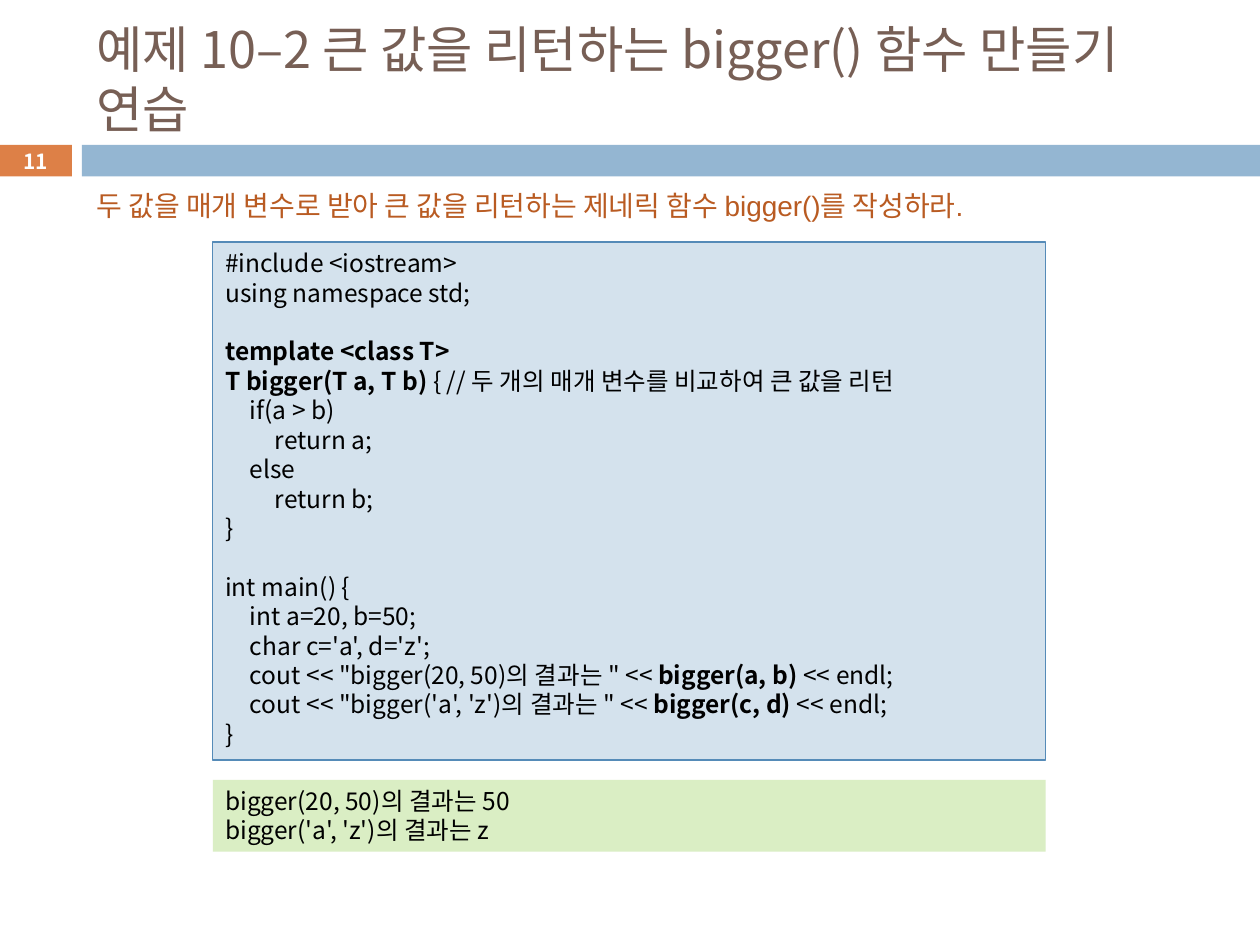
from dataclasses import dataclass

from lxml.etree import SubElement
from pptx import Presentation
from pptx.dml.color import RGBColor as Rgb
from pptx.enum.shapes import MSO_SHAPE as Shape
from pptx.enum.text import MSO_ANCHOR as Anchor, PP_ALIGN as Align
from pptx.oxml.ns import qn
from pptx.util import Cm, Pt


@dataclass(frozen=True)
class Theme:
    """Colours, fonts and type sizes of the slide."""
    title: str = "775F55"
    accent: str = "DD8047"
    bar: str = "94B6D2"
    task: str = "B95B22"
    code_fill: str = "D4E2ED"
    code_line: str = "558BB8"
    result_fill: str = "DAEEC4"
    ink: str = "000000"
    white: str = "FFFFFF"
    font: str = "Noto Sans CJK KR"
    task_font: str = "Arial"
    title_size: float = 28.8
    task_size: float = 16
    code_size: float = 14
    number_size: float = 11.9
    leading: float = 1.2
    indent: float = 0.5


THEME = Theme()

CODE = """\
#include <iostream>
using namespace std;

**template <class T>**
**T bigger(T a, T b) **{ // 두 개의 매개 변수를 비교하여 큰 값을 리턴
\tif(a > b)
\t\treturn a;
\telse
\t\treturn b;
}

int main() {
\tint a=20, b=50;
\tchar c='a', d='z';
\tcout << "bigger(20, 50)의 결과는 " << **bigger(a, b) **<< endl;
\tcout << "bigger('a', 'z')의 결과는 " << **bigger(c, d) **<< endl;
}"""

RESULT = """\
bigger(20, 50)의 결과는 50
bigger('a', 'z')의 결과는 z"""


def style_run(r, size, color, font=THEME.font, bold=False):
    """Format one run, with the Korean font for East Asian text."""
    r.font.size = Pt(size)
    r.font.bold = bold
    r.font.color.rgb = Rgb.from_string(color)
    r.font.name = font
    SubElement(r.font._element, qn("a:ea")).set("typeface", THEME.font)


def add_panel(slide, box, fill, line=None):
    """Add a flat rectangle, outlined when a line colour is given."""
    sp = slide.shapes.add_shape(Shape.RECTANGLE, *map(Cm, box))
    sp.shadow.inherit = False
    sp.fill.solid()
    sp.fill.fore_color.rgb = Rgb.from_string(fill)
    if line:
        sp.line.color.rgb = Rgb.from_string(line)
        sp.line.width = Pt(0.75)
    else:
        sp.line.fill.background()
    return sp


def add_label(slide, box, text, size, color, font=THEME.font, wrap=True):
    """Add a vertically centred text box with one paragraph."""
    tf = slide.shapes.add_textbox(*map(Cm, box)).text_frame
    tf.word_wrap = wrap
    tf.vertical_anchor = Anchor.MIDDLE
    p = tf.paragraphs[0]
    p.text = text
    p.line_spacing = Pt(round(size * THEME.leading, 1))
    style_run(p.runs[0], size, color, font)


def add_header_band(slide, box, number):
    """Draw the number tab and the bar beside it."""
    left, top, width, height = box
    tab_width, gap = 1.45, 0.2
    tab = add_panel(slide, (left, top, tab_width, height), THEME.accent)
    offset = tab_width + gap
    add_panel(slide, (left + offset, top, width - offset, height), THEME.bar)
    tf = tab.text_frame
    tf.margin_top = tf.margin_bottom = 0
    tf.vertical_anchor = Anchor.MIDDLE
    p = tf.paragraphs[0]
    p.text = number
    p.alignment = Align.CENTER
    style_run(p.runs[0], THEME.number_size, THEME.white, bold=True)


def add_listing(slide, box, source, fill, line=None):
    """Show lines in a panel: tabs indent, empty lines space, ** marks bold."""
    tf = add_panel(slide, box, fill, line).text_frame
    tf.word_wrap = True
    tf.vertical_anchor = Anchor.TOP
    pitch = Pt(THEME.code_size * THEME.leading)
    p, gap = tf.paragraphs[0], 0
    for i, row in enumerate(source.split("\n")):
        if not row:
            gap += pitch
            continue
        if i:
            p = tf.add_paragraph()
        p.alignment = Align.LEFT
        p.line_spacing = pitch
        p.space_before, gap = gap, 0
        text = row.lstrip("\t")
        level = len(row) - len(text)
        p._p.get_or_add_pPr().set("marL", str(Cm(level * THEME.indent)))
        for j, part in enumerate(text.split("**")):
            if part:
                r = p.add_run()
                r.text = part
                style_run(r, THEME.code_size, THEME.ink, bold=j % 2 == 1)


def main():
    """Build the slide and save it."""
    prs = Presentation()
    prs.slide_width, prs.slide_height = Cm(25.4), Cm(19.05)
    slide = prs.slides.add_slide(prs.slide_layouts[6])
    add_header_band(slide, (0, 2.92, 25.4, 0.64), "11")
    add_label(slide, (1.7, 0.64, 22.66, 1.88),
              "예제 10–2 큰 값을 리턴하는 bigger() 함수 만들기 연습",
              THEME.title_size, THEME.title)
    add_label(slide, (1.7, 3.66, 20.27, 0.94),
              "두 값을 매개 변수로 받아 큰 값을 리턴하는 제네릭 함수 bigger()를 작성하라.",
              THEME.task_size, THEME.task, THEME.task_font, wrap=False)
    add_listing(slide, (4.29, 4.88, 16.79, 10.44), CODE,
                THEME.code_fill, THEME.code_line)
    add_listing(slide, (4.29, 15.72, 16.79, 1.45), RESULT, THEME.result_fill)
    prs.save("out.pptx")


if __name__ == "__main__":
    main()
